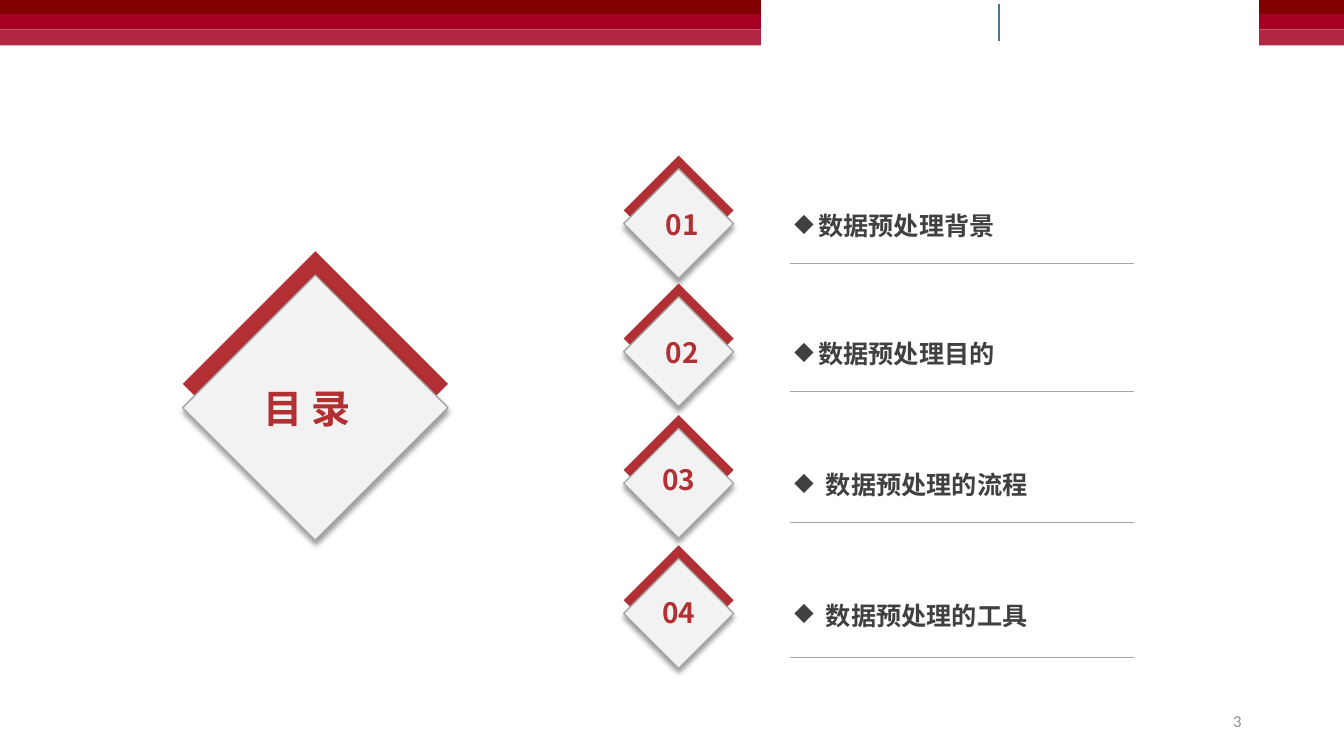
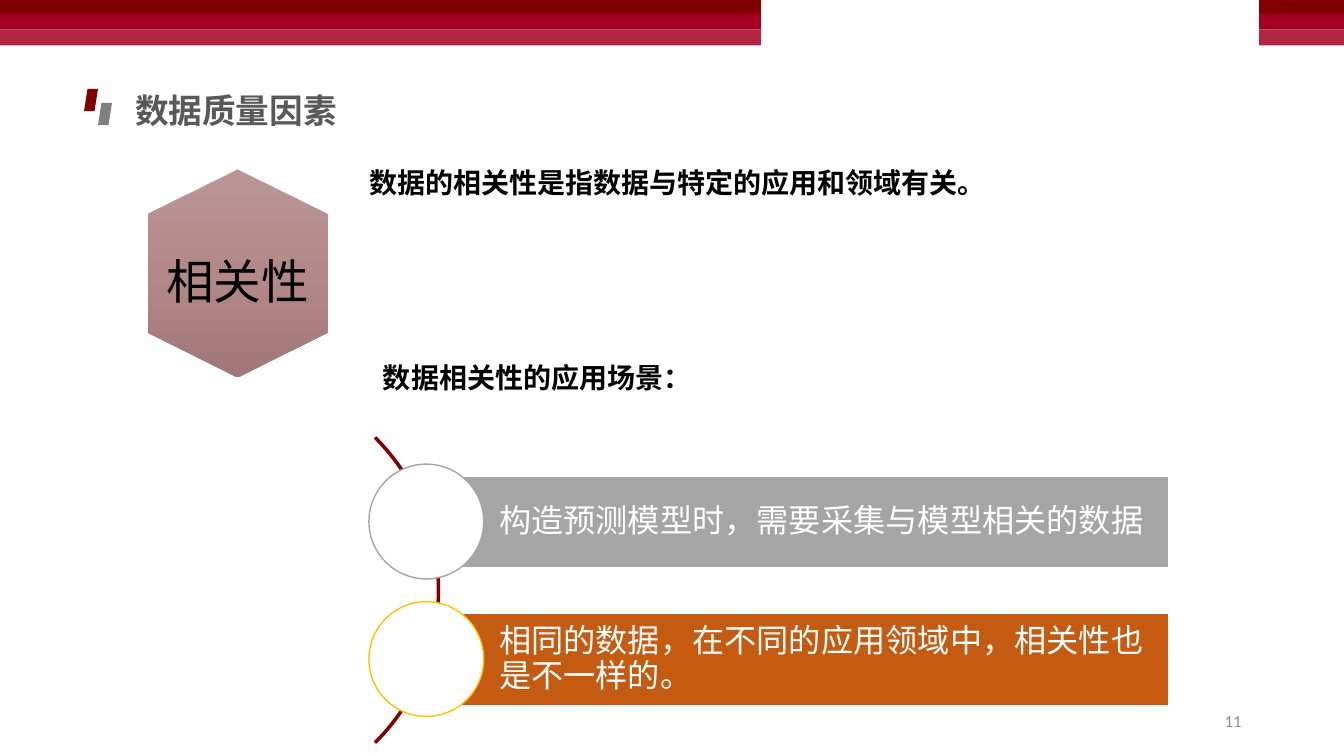
from dataclasses import dataclass

from lxml import etree
from pptx import Presentation
from pptx.dml.color import RGBColor
from pptx.enum.shapes import MSO_CONNECTOR, MSO_SHAPE
from pptx.enum.text import MSO_ANCHOR, PP_ALIGN
from pptx.oxml import parse_xml
from pptx.oxml.ns import nsdecls, qn
from pptx.util import Pt

RECT, OVAL = MSO_SHAPE.RECTANGLE, MSO_SHAPE.OVAL
DIAMOND = MSO_SHAPE.FLOWCHART_DECISION
SLANT, ARC = MSO_SHAPE.PARALLELOGRAM, MSO_SHAPE.BLOCK_ARC
STRAIGHT = MSO_CONNECTOR.STRAIGHT
TOP, MIDDLE = MSO_ANCHOR.TOP, MSO_ANCHOR.MIDDLE
LEFT, CENTER, RIGHT = PP_ALIGN.LEFT, PP_ALIGN.CENTER, PP_ALIGN.RIGHT


@dataclass(frozen=True)
class Theme:
    # Colours
    dark_red: str = "800000"
    red: str = "A50021"
    rose: str = "B22642"
    accent: str = "B23033"
    tile: str = "F2F2F2"
    edge: str = "A6A6A6"
    divider: str = "43739E"
    item: str = "404040"
    title: str = "595959"
    slant_gray: str = "808080"
    page: str = "8C8C8C"
    bar_gray: str = "A5A5A5"
    bar_orange: str = "C55A11"
    ring_gold: str = "FFC000"
    black: str = "000000"
    white: str = "FFFFFF"
    hexagon: tuple = ((0, "BA9797"), (50, "B38888"), (100, "A17777"))
    # Fonts and sizes
    sans: str = "Noto Sans CJK SC"
    body: str = "Calibri"
    contents_size: float = 28
    number_size: float = 20
    item_size: float = 18
    title_size: float = 24
    lead_size: float = 20
    factor_size: float = 34
    scene_size: float = 23
    page_size: float = 12


T = Theme()

# Content
CONTENTS_TITLE = "目 录"
# number, topic, top of the row, number place in the row, hanging indent, rule below top
TOPICS = [
    ("01", "数据预处理背景", 111, (468.5, 33.5), 17, 77),
    ("02", "数据预处理目的", 202.5, (468.5, 33.5), 17, 77),
    ("03", "数据预处理的流程", 296.5, (466, 30.5), 22.5, 76.5),
    ("04", "数据预处理的工具", 389.5, (466, 32.5), 22.5, 80),
]
FACTOR_TITLE = "数据质量因素"
FACTOR = "相关性"
DEFINITION = "数据的相关性是指数据与特定的应用和领域有关。"
SCENES_LEAD = "数据相关性的应用场景："
SCENES = [
    ("构造预测模型时，需要采集与模型相关的数据", T.bar_gray, T.bar_gray),
    ("相同的数据，在不同的应用领域中，相关性也是不一样的。", T.bar_orange, T.ring_gold),
]

# Header bands: top, height, colour; and their left, width
BANDS = [(0, 10, T.dark_red), (10, 11, T.red), (21, 11.5, T.rose)]
BAND_SPANS = [(0, 543.5), (899.5, 60.5)]


# Helpers
def rgb(value):
    return RGBColor.from_string(value)


def paint(shape, fill, line=None, width=1):
    shape.shadow.inherit = False
    shape.fill.solid()
    shape.fill.fore_color.rgb = rgb(fill)
    if line:
        shape.line.color.rgb = rgb(line)
        shape.line.width = Pt(width)
    else:
        shape.line.fill.background()


def add_block(slide, kind, box, fill, line=None):
    block = slide.shapes.add_shape(kind, *map(Pt, box))
    paint(block, fill, line)
    return block


def write(shape, text, size, color, font=T.body, bold=False, align=LEFT,
          anchor=TOP, insets=(7.2, 3.6, 7.2, 3.6), spacing=None, wrap=True):
    frame = shape.text_frame
    frame.word_wrap = wrap
    frame.vertical_anchor = anchor
    (frame.margin_left, frame.margin_top,
     frame.margin_right, frame.margin_bottom) = map(Pt, insets)
    paragraph = frame.paragraphs[0]
    paragraph.text = text
    paragraph.alignment = align
    if spacing:
        paragraph.line_spacing = spacing
    paragraph.font.size = Pt(size)
    paragraph.font.bold = bold
    paragraph.font.color.rgb = rgb(color)
    paragraph.font.name = font
    properties = paragraph._p.get_or_add_pPr()
    east_asian = etree.SubElement(properties.find(qn("a:defRPr")), qn("a:ea"))
    east_asian.set("typeface", T.sans)
    return properties


def add_text(slide, box, text, size, color, **style):
    return write(slide.shapes.add_textbox(*map(Pt, box)), text, size, color, **style)


def add_line(slide, start, end, color, width):
    line = slide.shapes.add_connector(STRAIGHT, *map(Pt, start + end))
    line.line.color.rgb = rgb(color)
    line.line.width = Pt(width)
    etree.SubElement(line._element.spPr, qn("a:effectLst"))


def add_bullet(properties, hang):
    properties.set("marL", str(Pt(hang)))
    properties.set("indent", str(-Pt(hang)))
    bullet = etree.Element(qn("a:buChar"))
    bullet.set("char", "◆")
    properties.find(qn("a:defRPr")).addprevious(bullet)


def add_drop_shadow(shape):
    effects = shape._element.spPr.find(qn("a:effectLst"))
    effects.append(parse_xml(
        f'<a:outerShdw {nsdecls("a")} blurRad="{Pt(4)}" dist="{Pt(3)}" dir="5400000" '
        f'algn="t" rotWithShape="0"><a:srgbClr val="{T.black}">'
        '<a:alpha val="40000"/></a:srgbClr></a:outerShdw>'))


def add_gradient(shape, stops):
    shape.fill.background()
    properties = shape._element.spPr
    marks = "".join(f'<a:gs pos="{position * 1000}"><a:srgbClr val="{color}"/></a:gs>'
                    for position, color in stops)
    properties.replace(properties.find(qn("a:noFill")), parse_xml(
        f'<a:gradFill {nsdecls("a")}><a:gsLst>{marks}</a:gsLst>'
        '<a:lin ang="5400000" scaled="0"/></a:gradFill>'))


def add_tile(slide, left, top, size, drop):
    add_block(slide, DIAMOND, (left, top, size, size), T.accent)
    tile = add_block(slide, DIAMOND, (left, top + drop, size, size), T.tile, T.edge)
    add_drop_shadow(tile)


def new_slide(deck, page):
    slide = deck.slides.add_slide(deck.slide_layouts[6])
    for left, width in BAND_SPANS:
        for top, height, color in BANDS:
            add_block(slide, RECT, (left, top, width, height), color)
    add_text(slide, (678, 500.5, 216, 29), page, T.page_size, T.page,
             align=RIGHT, anchor=MIDDLE)
    return slide


# Slides
def build_contents(deck):
    slide = new_slide(deck, "3")
    add_line(slide, (713.5, 3), (713.5, 29.5), T.divider, 1)
    tight = (5, 3, 5, 3)
    add_tile(slide, 130.5, 179.5, 189.5, 17)
    add_text(slide, (183, 271.5, 114, 41), CONTENTS_TITLE, T.contents_size, T.accent,
             font=T.sans, bold=True, insets=tight)
    for number, topic, top, (number_left, number_drop), hang, rule_drop in TOPICS:
        add_tile(slide, 445.5, top, 78.5, 9.5)
        add_text(slide, (number_left, top + number_drop, 42, 32), number,
                 T.number_size, T.accent, font=T.sans, bold=True)
        label = add_text(slide, (562.5, top + 36, 295, 27), topic, T.item_size, T.item,
                         font=T.sans, bold=True, insets=tight)
        add_bullet(label, hang)
        rule = top + rule_drop
        add_line(slide, (564, rule), (810, rule), T.edge, 0.5)


def build_relevance(deck):
    slide = new_slide(deck, "11")

    # Title with its two slanted marks
    for step, color in enumerate((T.dark_red, T.slant_gray)):
        add_block(slide, SLANT, (60 + 10 * step, 63.5 + 10 * step, 10, 16), color)
    add_text(slide, (89.5, 60.5, 297, 36), FACTOR_TITLE, T.title_size, T.title,
             font=T.sans, bold=True)

    # Hexagon with the factor
    left, top, width, height, corner = 105.5, 121, 128.5, 148.5, 32
    right, bottom, middle = left + width, top + height, left + width / 2
    outline = [(right, top + corner), (right, bottom - corner), (middle, bottom),
               (left, bottom - corner), (left, top + corner)]
    builder = slide.shapes.build_freeform(Pt(middle), Pt(top))
    builder.add_line_segments([(Pt(x), Pt(y)) for x, y in outline], close=True)
    hexagon = builder.convert_to_shape()
    hexagon.shadow.inherit = False
    hexagon.line.fill.background()
    add_gradient(hexagon, T.hexagon)
    write(hexagon, FACTOR, T.factor_size, T.black, align=CENTER, anchor=MIDDLE,
          insets=(10, 25, 10, 10), spacing=0.9)

    # Definition and lead-in
    add_text(slide, (256.5, 114.5, 480, 32), DEFINITION, T.lead_size, T.black, bold=True)
    add_text(slide, (266.5, 254, 238, 32), SCENES_LEAD, T.lead_size, T.black,
             bold=True, wrap=False)

    # Scenes along an arc
    arc = add_block(slide, ARC, (5, 267, 309, 309), T.dark_red, T.dark_red)
    for index, value in enumerate((189, 27, 0.005)):
        arc.adjustments[index] = value
    for index, (scene, fill, ring) in enumerate(SCENES):
        bar_top = 340 + 98.25 * index
        bar = add_block(slide, RECT, (304.5, bar_top, 530.5, 65.5), fill, T.white)
        write(bar, scene, T.scene_size, T.white, anchor=MIDDLE,
              insets=(52, 4.5, 4.5, 4.5), spacing=0.9)
        add_block(slide, OVAL, (263.5, bar_top - 8.5, 82, 82), T.white, ring)


def main():
    deck = Presentation()
    deck.slide_width, deck.slide_height = Pt(960), Pt(540)
    build_contents(deck)
    build_relevance(deck)
    deck.save("out.pptx")


if __name__ == "__main__":
    main()
